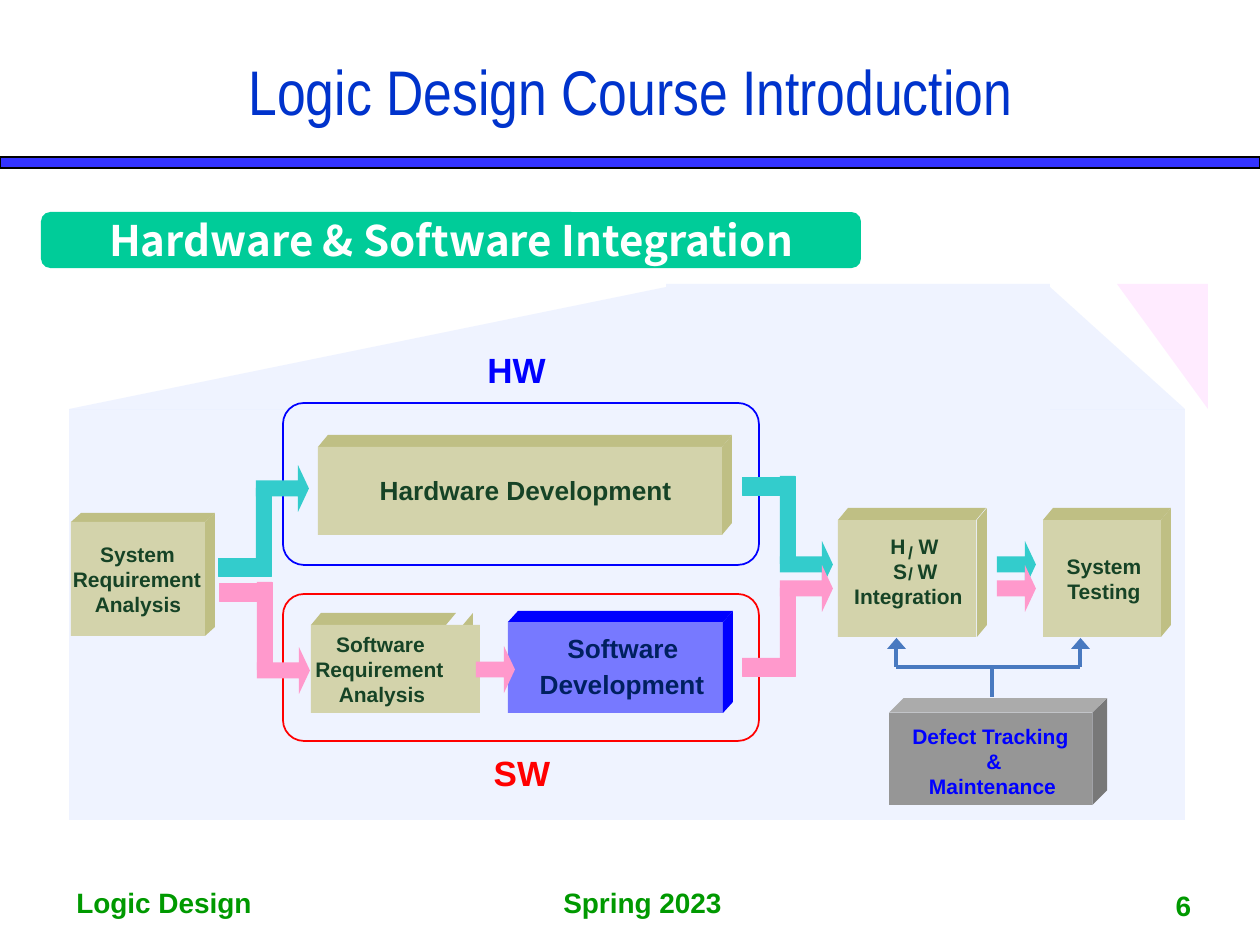
from lxml import etree
from pptx import Presentation
from pptx import util as u
from pptx.dml.color import RGBColor
from pptx.enum import shapes as sh, text as tx
from pptx.oxml.ns import qn

PX = 914400 / 126  # one px in EMU
KIND = sh.MSO_SHAPE
MID, LOW = tx.MSO_ANCHOR.MIDDLE, tx.MSO_ANCHOR.BOTTOM
HUES = {
    "bar": "3333FF", "title": "0033CC", "foot": "009900", "head": "00CC99",
    "white": "FFFFFF", "black": "000000", "pale": "3366FF", "rose": "FF00FF",
    "tan": "D3D3AB", "olive": "BFBF84", "ink": "164326", "navy": "002060",
    "blue": "0000FF", "red": "FF0000", "teal": "33CCCC", "pink": "FF99CC",
    "steel": "4979C0", "gray": "969696",
}
HIGH = {10: 24, 12: 29, 15: 37, 20: 48}  # label height by text size


def emu(*vals):
    return [round(v * PX) for v in vals]


def hue(name):
    return RGBColor.from_string(HUES[name])


def paint(shape, fill=None, line=None, width=1, alpha=None):
    shape.shadow.inherit = False
    if fill:
        shape.fill.solid()
        shape.fill.fore_color.rgb = hue(fill)
        if alpha:
            clr = shape.fill._xPr.find(qn("a:solidFill"))[0]
            etree.SubElement(clr, qn("a:alpha"), val=str(alpha * 1000))
    else:
        shape.fill.background()
    if line:
        shape.line.color.rgb = hue(line)
        shape.line.width = u.Pt(width)
    else:
        shape.line.fill.background()
    return shape


def form(slide, kind, box, adj=(), flip="", **look):
    shape = slide.shapes.add_shape(kind, *emu(*box))
    for i, val in enumerate(adj):
        shape.adjustments[i] = val
    for axis in flip:
        shape._element.spPr.xfrm.set("flip" + axis, "1")
    return paint(shape, **look)


def poly(slide, pts, fill):
    pen = slide.shapes.build_freeform(*pts[0], scale=PX)
    pen.add_line_segments(pts[1:], close=True)
    return paint(pen.convert_to_shape(), fill)


def write(shape, words, size, color, face="Arial", bold=True, center=True, **frame):
    body = shape.text_frame
    for key, val in frame.items():
        setattr(body, key, val)
    para = body.paragraphs[0]
    para.alignment = tx.PP_ALIGN.CENTER if center else tx.PP_ALIGN.LEFT
    run = para.add_run()
    run.text = words
    for key, val in {"name": face, "size": u.Pt(size), "bold": bold}.items():
        setattr(run.font, key, val)
    run.font.color.rgb = hue(color)


def label(slide, words, x, y, w, size=12, color="ink"):
    box = slide.shapes.add_textbox(*emu(x, y, w, HIGH[size]))
    edges = dict.fromkeys(("margin_left", "margin_top", "margin_right", "margin_bottom"), 0)
    write(box, words, size, color, word_wrap=False, **edges)


def block(slide, x, y, w, h, rise=12, top=None, gap=0, face="tan", edge="olive", alpha=None):
    """Front panel with a slanted top and side; top is the length of the top face."""
    deep, top = 10, top or w
    side = (x + top + 17 if top < w else x + w + gap)
    poly(slide, [(x, y), (x + deep, y - rise), (x + top + deep, y - rise), (x + top, y)], edge)
    poly(slide, [(side, y), (side + deep, y - rise), (side + deep, y + h - rise),
                 (side, y + h)], edge)
    form(slide, KIND.RECTANGLE, (x, y, w, h), fill=face, alpha=alpha)


def arrow(slide, x, y, w, color):
    tall = 47
    form(slide, KIND.RIGHT_ARROW, (x, y, w, tall), (16 / tall, 11 / min(w, tall)), fill=color)


def elbow(slide, x, foot, post, tip, color):
    """Flat foot, upright post and arrow, by their top edges."""
    arrow(slide, x + 38, tip, 53, color)
    for box in ((x, foot, 41, 18), (x + 38, post, 15, 88)):
        form(slide, KIND.RECTANGLE, box, fill=color, line=color, width=0.25)


def link(slide, *ends):
    line = slide.shapes.add_connector(sh.MSO_CONNECTOR.STRAIGHT, *emu(*ends))
    line.line.color.rgb = hue("steel")
    line.line.width = u.Pt(2.75)
    etree.SubElement(line._element.spPr, qn("a:effectLst"))


def frame_page(slide):
    form(slide, KIND.RECTANGLE, (0, 157, 1260, 11), fill="bar", line="black", width=0.75)
    title = slide.shapes.title
    title.left, title.top, title.width, title.height = emu(53, 45, 1155, 90)
    write(title, "Logic Design Course Introduction", 36, "title", "Arial Narrow", False,
          vertical_anchor=MID, auto_size=tx.MSO_AUTO_SIZE.NONE)
    for words, box in (("Logic Design", (64, 879, 208, 47)), ("Spring 2023", (551, 879, 188, 47))):
        write(slide.shapes.add_textbox(*emu(*box)), words, 16, "foot", center=False, word_wrap=True)
    write(slide.shapes.add_textbox(*emu(1136, 869, 95, 59)), "6", 16, "foot",
          word_wrap=True, vertical_anchor=LOW)
    head = form(slide, KIND.ROUNDED_RECTANGLE, (41, 212, 820, 56), (0.167,), fill="head")
    write(head, "Hardware & Software Integration", 24, "white", "Noto Sans CJK KR",
          vertical_anchor=MID, word_wrap=False)


def back(slide):
    for kind, box, flip, color in (
        (KIND.RECTANGLE, (69, 409, 1116, 411), "", "pale"),
        (KIND.RIGHT_TRIANGLE, (69, 287, 597, 122), "H", "pale"),
        (KIND.RECTANGLE, (666, 284, 384, 125), "", "pale"),
        (KIND.RIGHT_TRIANGLE, (1050, 287, 135, 122), "", "pale"),
        (KIND.RIGHT_TRIANGLE, (1117, 284, 91, 125), "HV", "rose"),
    ):
        form(slide, kind, box, flip=flip, fill=color, alpha=8)


def flow(slide):
    # Group outlines
    for y, h, color in ((403, 162, "blue"), (594, 147, "red")):
        form(slide, KIND.ROUNDED_RECTANGLE, (283, y, 476, h), (21 / h,), line=color)
    # Stage blocks
    block(slide, 71, 522, 134, 114, rise=9)
    block(slide, 311, 625, 169, 88, top=135)
    block(slide, 838, 520, 138, 117, gap=1)
    block(slide, 508, 622, 215, 91, rise=11, face="blue", edge="blue", alpha=50)
    block(slide, 1043, 520, 118, 117)
    block(slide, 318, 447, 404, 88)
    # Flow arrows
    elbow(slide, 742, 477, 476, 541, "teal")
    elbow(slide, 742, 658, 588, 565, "pink")
    elbow(slide, 218, 558, 488, 465, "teal")
    elbow(slide, 219, 583, 582, 647, "pink")
    for x, y, color in ((476, 646, "pink"), (997, 541, "teal"), (997, 565, "pink")):
        arrow(slide, x, y, 39, color)
    # Feedback from defect tracking
    link(slide, 992, 667, 992, 697)
    link(slide, 896, 667, 1080, 667)
    for x in (896, 1080):
        link(slide, x, 667, x, 648)
        form(slide, KIND.ISOSCELES_TRIANGLE, (x - 9, 638, 19, 11), fill="steel")
    form(slide, KIND.CUBE, (889, 698, 218, 107), (0.136,), fill="gray")


def names(slide):
    for item in (
        ("HW", 483, 349, 67, 20, "blue"), ("SW", 490, 752, 64, 20, "red"),
        ("System ", 95, 542, 91), ("Requirement", 64, 567, 146), ("Analysis", 89, 592, 98),
        ("Software ", 330, 632, 107), ("Requirement", 306, 657, 147), ("Analysis", 333, 682, 98),
        ("H", 889, 534, 18), ("/", 908, 542, 5, 10), ("W", 917, 534, 23),
        ("S", 892, 559, 16), ("/", 908, 563, 5, 10), ("W", 916, 559, 23),
        ("Integration", 847, 584, 123),
        ("Software ", 559, 632, 135, 15, "navy"), ("Development", 528, 668, 188, 15, "navy"),
        ("System", 1062, 554, 84), ("Testing", 1062, 579, 84),
        ("Hardware Development", 360, 474, 331, 15),
        ("Defect Tracking", 901, 724, 179, 12, "blue"), ("&", 985, 749, 18, 12, "blue"),
        ("Maintenance", 920, 774, 145, 12, "blue"),
    ):
        label(slide, *item)


def main():
    deck = Presentation()
    deck.slide_width, deck.slide_height = emu(1260, 945)
    slide = deck.slides.add_slide(deck.slide_layouts[5])
    for part in (frame_page, back, flow, names):
        part(slide)
    deck.save("out.pptx")


if __name__ == "__main__":
    main()
